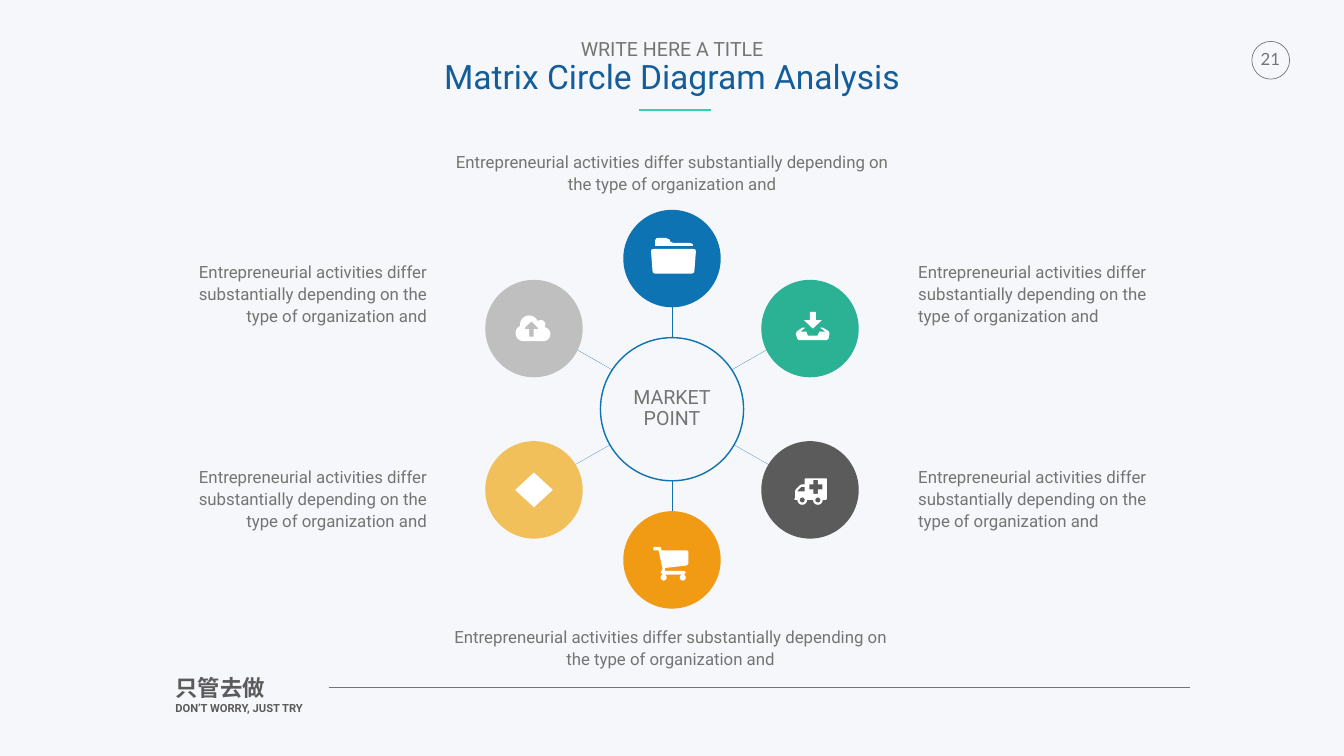
from dataclasses import dataclass
from math import cos, radians, sin

from lxml.etree import SubElement
from pptx import Presentation
from pptx.dml.color import RGBColor
from pptx.enum.shapes import MSO_CONNECTOR, MSO_SHAPE as Preset
from pptx.enum.text import MSO_ANCHOR as Anchor, MSO_AUTO_SIZE as AutoSize, PP_ALIGN as Align
from pptx.oxml.ns import qn
from pptx.util import Inches, Pt

WIDTH, HEIGHT = Inches(26.67), Inches(15)
COLUMN, ROW = WIDTH / 100, HEIGHT / 100
ICON_UNIT = WIDTH / 2667
PAPER, GREY, DARK, WHITE = "F6F7FA", "737572", "5B5B5B", "FFFFFF"
BLUE, TITLE_BLUE, TEAL = "0D73B2", "135D9A", "33D1AD"
BODY = "Entrepreneurial activities differ substantially depending on the type of organization and"
CENTER_X, CENTER_Y = 50, 54.13


@dataclass
class Box:
    """An area in columns and rows of a 100 by 100 grid over the slide."""
    left: float
    top: float
    width: float
    height: float

    def emu(self) -> tuple[int, ...]:
        """Return the area as whole slide units."""
        return (round(self.left * COLUMN), round(self.top * ROW),
                round(self.width * COLUMN), round(self.height * ROW))


@dataclass
class Line:
    """One paragraph of a single style."""
    text: str
    size: float
    color: str = GREY
    bold: bool = False
    font: str = "Roboto"


@dataclass
class Icon:
    """A white glyph: its corner on the grid and its outlines in icon units."""
    left: float
    top: float
    outlines: list


@dataclass
class Node:
    """A coloured circle around the hub, with its label."""
    side: int
    level: int
    color: str
    label: Box
    icon: Icon | None = None


def rgb(color: str) -> RGBColor:
    """Turn a hex string into a colour."""
    return RGBColor.from_string(color)


def arc(x: float, y: float, radius: float, start: float = 0, end: float = 360) -> list:
    """Return points along a circular arc, with angles in degrees."""
    angles = [radians(start + (end - start) * step / 24) for step in range(25)]
    return [(x + radius * cos(angle), y + radius * sin(angle)) for angle in angles]


def style(shape, fill: str | None = None, line: str | None = None, weight: float = 1) -> None:
    """Set fill and outline and remove the shadow."""
    shape.shadow.inherit = False
    if fill:
        shape.fill.solid()
        shape.fill.fore_color.rgb = rgb(fill)
    else:
        shape.fill.background()
    if line:
        shape.line.color.rgb = rgb(line)
        shape.line.width = Pt(weight)
    else:
        shape.line.fill.background()


def add_preset(slide, kind, box: Box, **look) -> None:
    """Draw a preset shape."""
    style(slide.shapes.add_shape(kind, *box.emu()), **look)


def add_circle(slide, x: float, y: float, diameter: float, **look) -> None:
    """Draw a circle around a centre, with its diameter in columns."""
    rows = diameter * COLUMN / ROW
    add_preset(slide, Preset.OVAL, Box(x - diameter / 2, y - rows / 2, diameter, rows), **look)


def add_line(slide, x1: float, y1: float, x2: float, y2: float, color: str, weight: float = 0.25) -> None:
    """Draw a straight line between two grid points."""
    ends = (round(x1 * COLUMN), round(y1 * ROW), round(x2 * COLUMN), round(y2 * ROW))
    connector = slide.shapes.add_connector(MSO_CONNECTOR.STRAIGHT, *ends)
    connector.line.color.rgb = rgb(color)
    connector.line.width = Pt(weight)
    SubElement(connector.element.spPr, qn("a:effectLst"))


def add_text(slide, box: Box, lines: list[Line], align=Align.LEFT, anchor=Anchor.TOP,
             inset: float = 0.05, spacing: float = 1.0, wrap: bool = True) -> None:
    """Add a text box with one paragraph for each line."""
    frame = slide.shapes.add_textbox(*box.emu()).text_frame
    frame.word_wrap, frame.auto_size = wrap, AutoSize.SHAPE_TO_FIT_TEXT
    frame.vertical_anchor = anchor
    frame.margin_left = frame.margin_top = frame.margin_right = frame.margin_bottom = Inches(inset)
    for index, line in enumerate(lines):
        paragraph = frame.add_paragraph() if index else frame.paragraphs[0]
        paragraph.alignment, paragraph.line_spacing = align, spacing
        run = paragraph.add_run()
        run.text = line.text
        run.font.name, run.font.size, run.font.bold = line.font, Pt(line.size), line.bold
        run.font.color.rgb = rgb(line.color)


def add_icon(slide, icon: Icon) -> None:
    """Draw a glyph as one freeform."""
    outlines = [[(round(icon.left * COLUMN + x * ICON_UNIT), round(icon.top * ROW + y * ICON_UNIT))
                 for x, y in outline] for outline in icon.outlines]
    builder = slide.shapes.build_freeform(*outlines[0][0])
    for index, outline in enumerate(outlines):
        if index:
            builder.move_to(*outline[0])
        builder.add_line_segments(outline[1:], close=True)
    style(builder.convert_to_shape(), fill=WHITE)


def add_spoke(slide, node: Node) -> None:
    """Draw the line from a circle to the hub."""
    outer, inner = ((7.26, 7.4), (4.44, 4.53)) if node.side else ((0, 13.47), (0, 9.55))
    middle = CENTER_Y - 0.67 if node.side and node.level < 0 else CENTER_Y
    add_line(slide, CENTER_X + node.side * outer[0], middle + node.level * outer[1],
             CENTER_X + node.side * inner[0], middle + node.level * inner[1], BLUE)


def add_node(slide, node: Node) -> None:
    """Draw a circle with its icon and label."""
    rise = 10.67 if node.side else 19.93
    x, y = CENTER_X + node.side * 10.27, CENTER_Y + node.level * rise
    add_circle(slide, x, y, 7.25, fill=node.color)
    if node.icon:
        add_icon(slide, node.icon)
    else:
        add_preset(slide, Preset.DIAMOND, Box(x - 1.4, y - 2.3, 2.8, 4.6), fill=WHITE)
    align = {-1: Align.RIGHT, 0: Align.CENTER, 1: Align.LEFT}[node.side]
    add_text(slide, node.label, [Line(BODY, 24)], align, Anchor.MIDDLE, inset=0, spacing=1.1)


FOLDER = Icon(48.44, 31.47, [
    [(84, 22), (5, 22), (1, 23), (0, 27), (3, 66), (4, 69), (8, 71), (81, 71), (85, 69), (86, 66), (89, 27), (88, 23)],
    [(83, 13), (81, 11), (76, 10), (46, 10), (41, 9), (38, 7), (37, 3), (29, 0), (14, 0), (10, 1), (8, 5),
     (8, 16), (83, 16)]])
DOWNLOAD = Icon(59.21, 41.27, [
    [(65, 38), (54, 31), (48, 31), (59, 39), (47, 39), (43, 47), (24, 47), (21, 39), (9, 39), (19, 31), (13, 31),
     (3, 38), (0, 43), (3, 53), (6, 56), (61, 56), (65, 53), (67, 43)],
    [(52, 16), (40, 16), (40, 0), (28, 0), (28, 16), (16, 16), (34, 33)]])
AMBULANCE = Icon(59.09, 63.27, [
    [(65, 41), (63, 43), *arc(47, 43, 9.5, 0, 180), *arc(16, 43, 9.5, 0, 180), (2, 43), (0, 41), (2, 39), (2, 25),
     (4, 21), (11, 14), (15, 12), (21, 12), (21, 1), (23, 0), (63, 0), (65, 1)],
    [(21, 26), (21, 17), (14, 17), (7, 24), (7, 26)],
    [(56, 12), (47, 12), (47, 3), (38, 3), (38, 12), (30, 12), (30, 22), (38, 22), (38, 31), (47, 31), (47, 22),
     (56, 22)],
    arc(16, 43, 5), arc(47, 43, 5)])
CART = Icon(48.59, 72.33, [
    [(70, 34), (67, 37), (24, 42), (24, 46), (23, 48), (62, 48), (65, 51), (62, 55), (19, 55), (15, 51), (19, 44),
     (11, 7), (2, 7), (0, 4), (2, 0), (13, 0), (16, 2), (17, 7), (67, 7), (70, 9)],
    arc(21, 61, 6), arc(59, 61, 6)])
CLOUD = Icon(38.36, 41.73, [
    [*arc(16, 35, 16, 90, 245), *arc(27, 18, 18, 180, 337), *arc(50, 18, 9, 240, 393), *arc(55, 37, 14, -75, 90)],
    [(45, 25), (32, 12), (31, 12), (18, 25), (19, 27), (27, 27), (27, 42), (36, 42), (36, 27), (44, 27)]])

NODES = [
    Node(0, -1, BLUE, Box(33.56, 19.87, 32.88, 5.67), FOLDER),
    Node(0, 1, "F19A14", Box(33.45, 82.73, 32.88, 5.67), CART),
    Node(-1, -1, "BFBFBF", Box(13.2, 34.47, 18.56, 8.6), CLOUD),
    Node(1, 1, DARK, Box(68.32, 61.53, 18.56, 8.6), AMBULANCE),
    Node(-1, 1, "F1C05A", Box(13.2, 61.53, 18.56, 8.6)),
    Node(1, -1, "2BB294", Box(68.32, 34.47, 18.56, 8.6), DOWNLOAD),
]


def main() -> None:
    """Build the slide and save it."""
    presentation = Presentation()
    presentation.slide_width, presentation.slide_height = WIDTH, HEIGHT
    slide = presentation.slides.add_slide(presentation.slide_layouts[6])
    slide.background.fill.solid()
    slide.background.fill.fore_color.rgb = rgb(PAPER)

    add_circle(slide, 94.55, 7.97, 2.81, line=GREY)
    add_text(slide, Box(12.86, 88.87, 14.96, 6.6),
             [Line("只管去做", 32, DARK, True), Line("DON’T WORRY, JUST TRY", 16, DARK, True)])
    add_line(slide, 24.45, 90.93, 88.56, 90.93, GREY)
    add_text(slide, Box(93.03, 5.8, 3, 4), [Line("21", 24, font="Lato")], Align.CENTER, inset=0.1, wrap=False)
    add_text(slide, Box(32.85, 4.93, 34.31, 8.87),
             [Line("WRITE HERE A TITLE", 28), Line("Matrix Circle Diagram Analysis", 48, TITLE_BLUE)],
             Align.CENTER, spacing=0.9, wrap=False)
    add_line(slide, 52.91, 14.53, 47.51, 14.53, TEAL, 3)

    for node in NODES:
        add_spoke(slide, node)
    for node in NODES:
        add_node(slide, node)
    add_circle(slide, CENTER_X, CENTER_Y, 10.65, fill=PAPER, line=BLUE, weight=2)
    add_text(slide, Box(46.23, 50.47, 7.54, 7.27), [Line("MARKET", 28), Line("POINT", 28)],
             Align.CENTER, Anchor.MIDDLE, inset=0.1, spacing=0.89)
    presentation.save("out.pptx")


if __name__ == "__main__":
    main()
